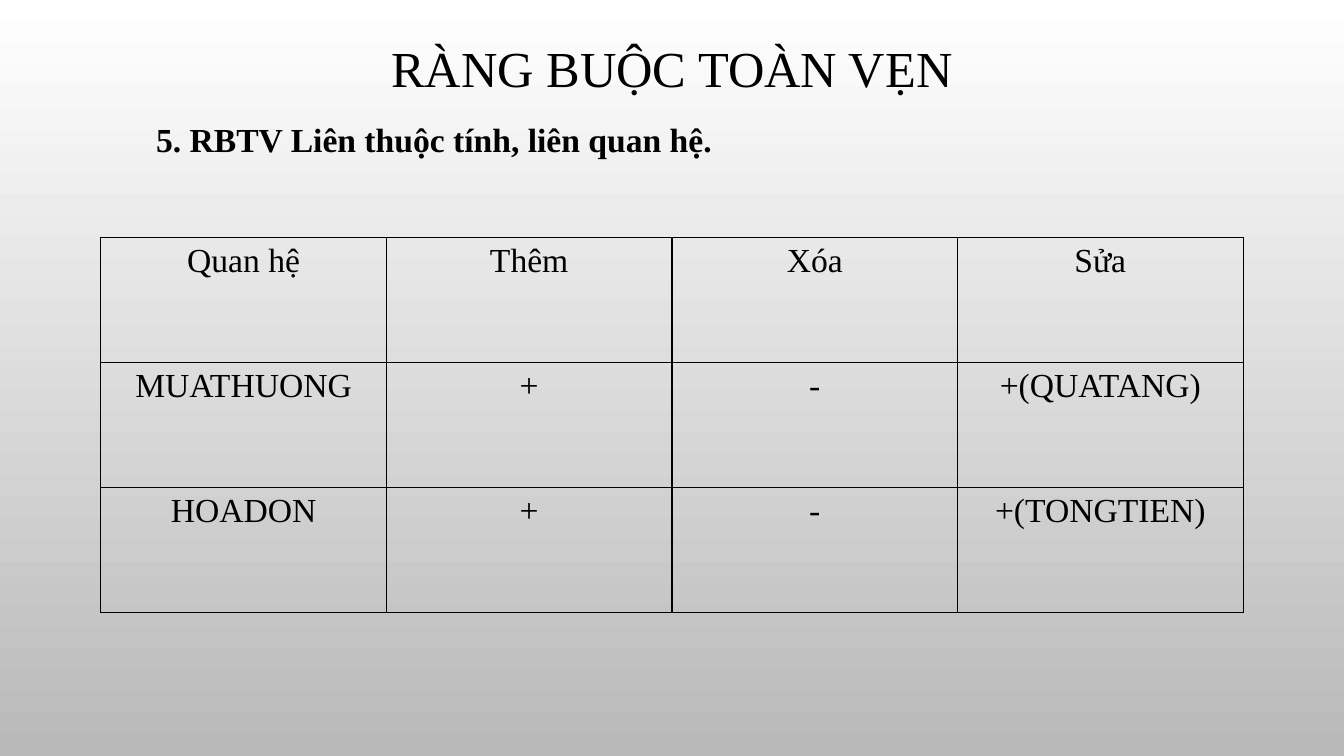
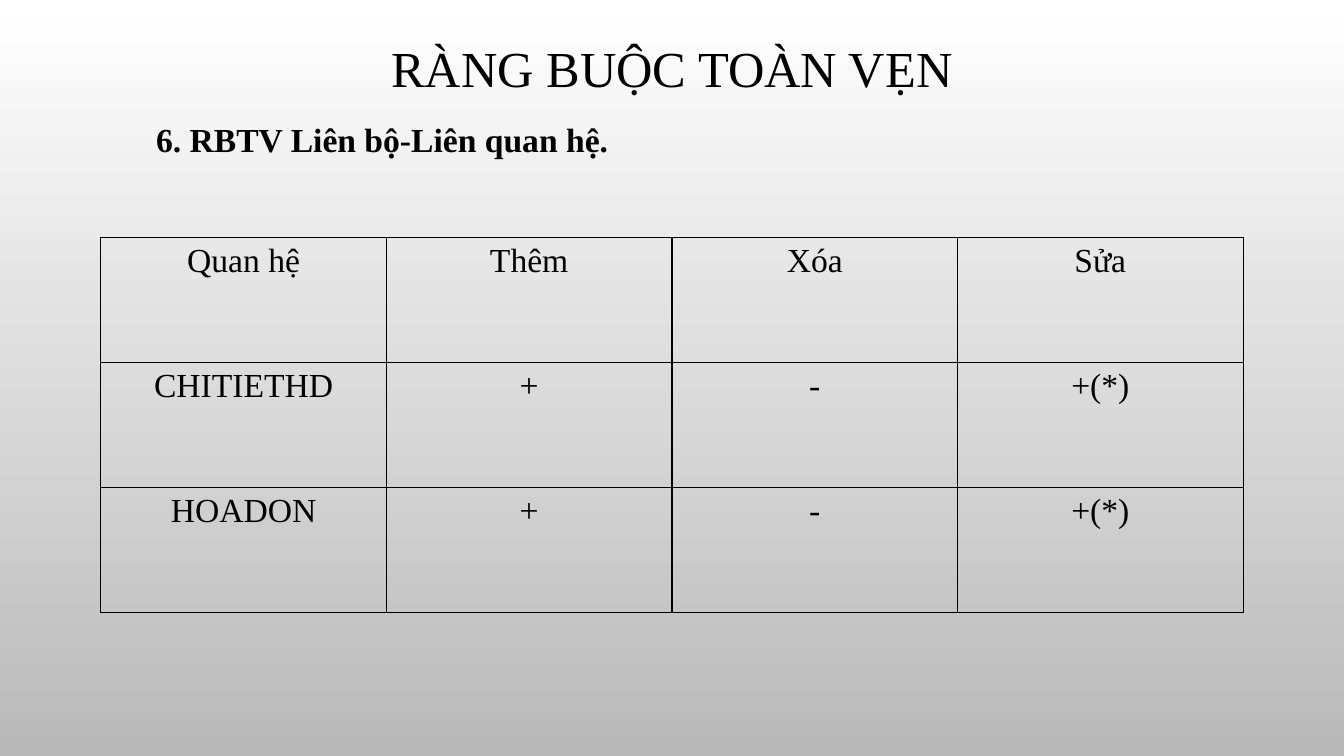
import pptx
import pptx.dml.color
import pptx.enum.text
import pptx.oxml
import pptx.oxml.ns
import pptx.util

# Shared style
WIDTH, HEIGHT = 13.33, 7.5
MARGIN = 1
CONTENT_WIDTH = WIDTH - 2 * MARGIN
FONT = "Times New Roman"
INK = "000000"
BACKGROUND = ("FFFFFF", "B9B9B9")
TITLE_SIZE, BODY_SIZE = 36, 24
TABLE_TOP, ROW_HEIGHT = 2.36, 1.24

# Content
TITLE = "RÀNG BUỘC TOÀN VẸN"
HEADER = ("Quan hệ", "Thêm", "Xóa", "Sửa")
SLIDES = [
    ("5. RBTV Liên thuộc tính, liên quan hệ.", 5.77,
     [("MUATHUONG", "+", "-", "+(QUATANG)"),
      ("HOADON", "+", "-", "+(TONGTIEN)")]),
    ("6. RBTV Liên bộ-Liên quan hệ.", 4.73,
     [("CHITIETHD", "+", "-", "+(*)"),
      ("HOADON", "+", "-", "+(*)")]),
]

CENTER = pptx.enum.text.PP_ALIGN.CENTER
LEFT = pptx.enum.text.PP_ALIGN.LEFT


def color(hex_string):
    return pptx.dml.color.RGBColor.from_string(hex_string)


def inches(*lengths):
    return [pptx.util.Inches(length) for length in lengths]


def set_background(master):
    fill = master.background.fill
    fill.gradient()
    fill.gradient_angle = 270  # counter-clockwise, so top to bottom
    for stop, shade in zip(fill.gradient_stops, BACKGROUND):
        stop.color.rgb = color(shade)


def write(tf, text, size=BODY_SIZE, align=CENTER, bold=False):
    p = tf.paragraphs[0]
    p.alignment = align
    r = p.add_run()
    r.text = text
    r.font.name = FONT
    r.font.size = pptx.util.Pt(size)
    r.font.bold = bold
    r.font.color.rgb = color(INK)
    return p


def add_title(s):
    tf = s.shapes.add_textbox(*inches(MARGIN, 0.31, CONTENT_WIDTH, 0.79)).text_frame
    tf.word_wrap = True
    tf.vertical_anchor = pptx.enum.text.MSO_ANCHOR.MIDDLE
    write(tf, TITLE, TITLE_SIZE).line_spacing = 0.9


def add_heading(s, text, width):
    tf = s.shapes.add_textbox(*inches(1.45, 1.07, width, 0.53)).text_frame
    tf.word_wrap = False
    tf.auto_size = pptx.enum.text.MSO_AUTO_SIZE.SHAPE_TO_FIT_TEXT
    p = write(tf, text, align=LEFT, bold=True)
    p.line_spacing = 1.15
    p.space_before = pptx.util.Pt(10)


def add_borders(cell):
    tc_pr = cell._tc.get_or_add_tcPr()
    for side in ("lnL", "lnR", "lnT", "lnB"):
        tc_pr.append(pptx.oxml.parse_xml(
            f'<a:{side} {pptx.oxml.ns.nsdecls("a")} w="{pptx.util.Pt(1)}">'
            f'<a:solidFill><a:srgbClr val="{INK}"/></a:solidFill></a:{side}>'))


def add_grid(s, rows):
    table = s.shapes.add_table(
        len(rows), len(rows[0]),
        *inches(MARGIN, TABLE_TOP, CONTENT_WIDTH, ROW_HEIGHT * len(rows))).table
    table.first_row = table.horz_banding = False
    for i, row in enumerate(rows):
        for j, text in enumerate(row):
            cell = table.cell(i, j)
            add_borders(cell)
            cell.fill.background()
            write(cell.text_frame, text)


def main():
    prs = pptx.Presentation()
    prs.slide_width, prs.slide_height = inches(WIDTH, HEIGHT)
    set_background(prs.slide_master)
    for heading, heading_width, rows in SLIDES:
        s = prs.slides.add_slide(prs.slide_layouts[6])
        add_title(s)
        add_heading(s, heading, heading_width)
        add_grid(s, [HEADER, *rows])
    prs.save("out.pptx")


if __name__ == "__main__":
    main()
